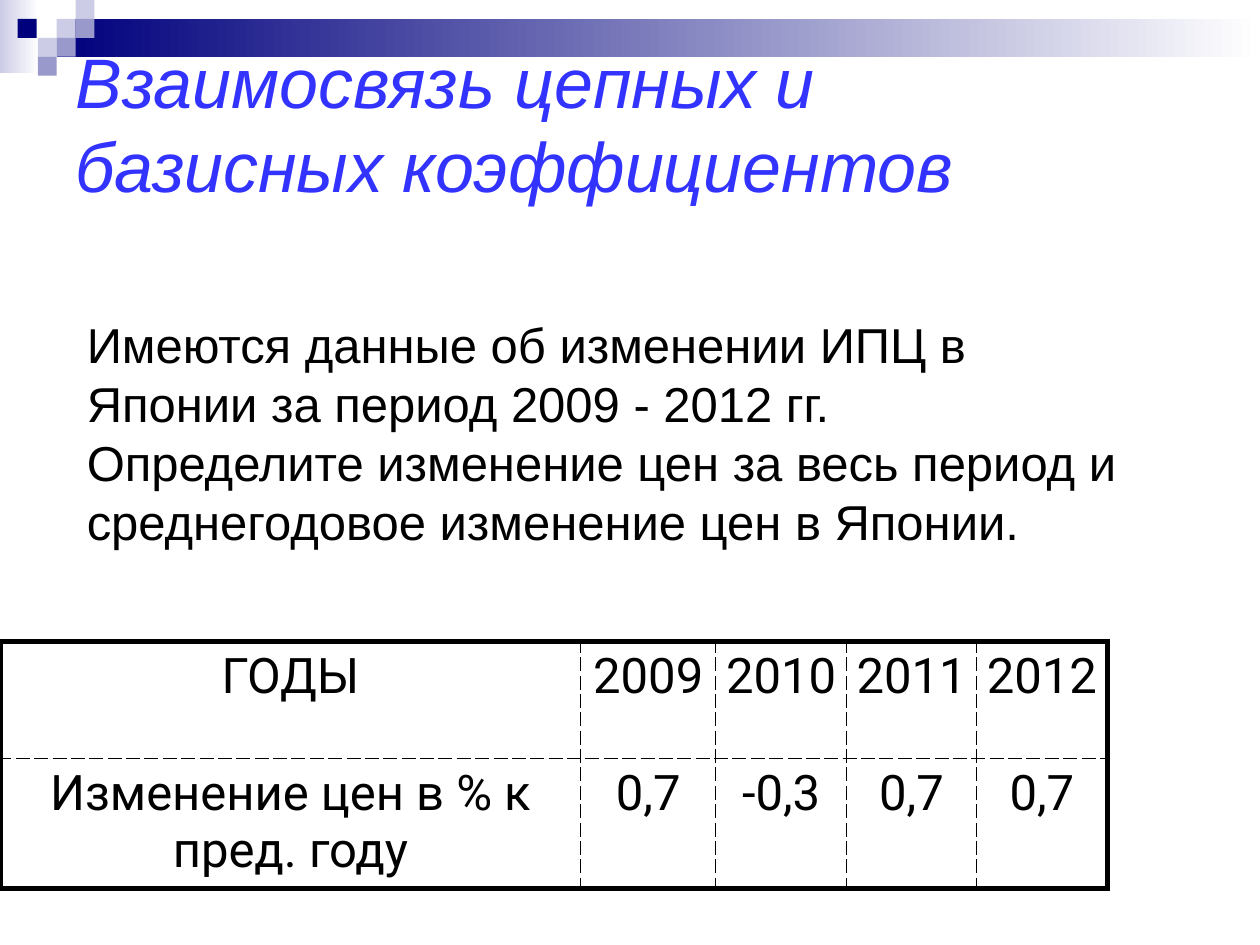
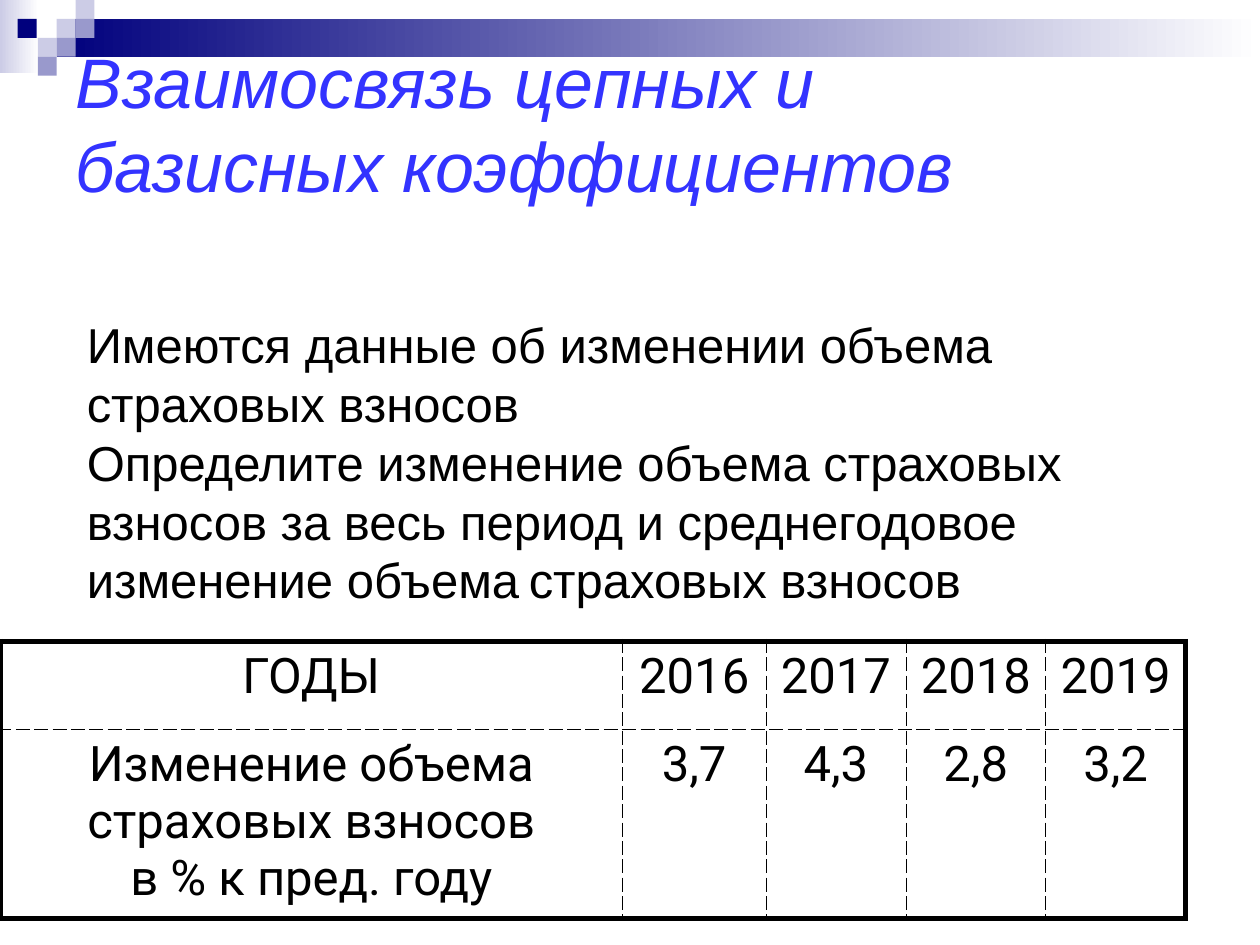
from dataclasses import dataclass

from lxml.etree import SubElement
from pptx import Presentation
from pptx.dml.color import RGBColor
from pptx.enum.shapes import MSO_SHAPE as Shape
from pptx.enum.text import MSO_ANCHOR as Anchor, PP_ALIGN as Align
from pptx.oxml.ns import qn
from pptx.util import Inches, Pt


@dataclass(frozen=True)
class Theme:
    """Colours, fonts, type sizes and line widths shared by the slides."""

    navy: str = "00007D"
    violet: str = "9999CC"
    lilac: str = "CCCCE6"
    white: str = "FFFFFF"
    title_blue: str = "3333FF"
    black: str = "000000"
    text_font: str = "Arial"
    table_font: str = "Roboto"
    title_size: int = 40
    body_size: int = 28
    gap_size: int = 20
    line_factor: float = 1.2
    frame_width: float = 3.34
    grid_width: float = 0.45


THEME = Theme()
TITLE = "Взаимосвязь цепных и базисных коэффициентов"
TITLE_BOX = (0.5, 0.35, 7.92, 1.25)
TASK_BOX = (0.59, 2.45, 8.58, 2.44)
TABLE_ORIGIN = (0, 5.09)
TILE = 0.15
TILES = (
    (0.45, 0.15, THEME.lilac), (0.6, 0, THEME.lilac), (0.6, 0.15, THEME.violet),
    (0.3, 0.3, THEME.lilac), (0.14, 0.15, THEME.navy), (0.45, 0.3, THEME.violet),
    (0.3, 0.45, THEME.violet),
)

SLIDES = (
    {
        "task": (
            ("Имеются данные об изменении ИПЦ в Японии за период 2009 - 2012 гг.",),
            ("Определите изменение цен за весь период и среднегодовое изменение цен в Японии.",),
        ),
        "rows": (
            ("ГОДЫ", "2009", "2010", "2011", "2012"),
            ("Изменение цен в % к пред. году", "0,7", "-0,3", "0,7", "0,7"),
        ),
        "widths": (4.61, 1.07, 1.04, 1.03, 1.04),
        "heights": (0.93, 0.93),
    },
    {
        "task": (
            ("Имеются данные об изменении объема страховых взносов",),
            ("Определите изменение объема страховых взносов за весь период "
             "и среднегодовое изменение объема", " ", "страховых взносов"),
        ),
        "rows": (
            ("ГОДЫ", "2016", "2017", "2018", "2019"),
            ("Изменение объема страховых взносов\nв % к пред. году", "3,7", "4,3", "2,8", "3,2"),
        ),
        "widths": (4.94, 1.14, 1.11, 1.11, 1.11),
        "heights": (0.7, 1.4),
    },
)


def apply_format(target, values):
    """Set each named attribute of the target."""
    for name, value in values.items():
        setattr(target, name, value)


def style_font(font, name, size, color, italic=False):
    """Give a font its face, size and colour."""
    apply_format(font, {"name": name, "size": Pt(size), "italic": italic, "bold": False})
    font.color.rgb = RGBColor.from_string(color)


def add_block(slide, box, *colors):
    """Draw a borderless rectangle, solid for one colour and fading for two."""
    shape = slide.shapes.add_shape(Shape.RECTANGLE, *map(Inches, box))
    shape.shadow.inherit = False
    shape.line.fill.background()
    if len(colors) == 1:
        shape.fill.solid()
        shape.fill.fore_color.rgb = RGBColor.from_string(colors[0])
        return
    shape.fill.gradient()
    shape.fill.gradient_angle = 0
    for stop, color in zip(shape.fill.gradient_stops, colors):
        stop.color.rgb = RGBColor.from_string(color)


def add_band(slide):
    """Draw the fading band and its mosaic of tiles."""
    add_block(slide, (0, 0, 0.31, 0.58), THEME.lilac, THEME.white)
    add_block(slide, (0.45, 0.15, 9.55, 0.3), THEME.navy, THEME.white)
    for left, top, color in TILES:
        add_block(slide, (left, top, TILE, TILE), color)


def add_text(slide, box, paragraphs, anchor, size, color, italic=False):
    """Write paragraphs, each a tuple of runs, in a wrapping box."""
    frame = slide.shapes.add_textbox(*map(Inches, box)).text_frame
    apply_format(frame, {"word_wrap": True, "vertical_anchor": anchor})
    for index, runs in enumerate(paragraphs):
        paragraph = frame.add_paragraph() if index else frame.paragraphs[0]
        paragraph.line_spacing = Pt(size * THEME.line_factor)
        for text in runs:
            run = paragraph.add_run()
            run.text = text
            run_size = THEME.gap_size if text == " " else size
            style_font(run.font, THEME.text_font, run_size, color, italic)


def add_border(cell, side, framed):
    """Draw one cell edge, thick on the frame and dashed inside."""
    width = THEME.frame_width if framed else THEME.grid_width
    properties = cell._tc.get_or_add_tcPr()
    line = SubElement(properties, qn(f"a:ln{side}"), w=str(int(Pt(width))))
    fill = SubElement(line, qn("a:solidFill"))
    SubElement(fill, qn("a:srgbClr"), val=THEME.black)
    SubElement(line, qn("a:prstDash"), val="solid" if framed else "dash")


def fill_cell(cell, text):
    """Write centred text in an unfilled cell."""
    apply_format(cell, {
        "text": text,
        "margin_left": Inches(0.07),
        "margin_right": Inches(0.07),
        "margin_top": Inches(0.05),
        "margin_bottom": Inches(0.05),
    })
    cell.fill.background()
    for paragraph in cell.text_frame.paragraphs:
        paragraph.alignment = Align.CENTER
        for run in paragraph.runs:
            style_font(run.font, THEME.table_font, THEME.body_size, THEME.black)


def add_years_table(slide, origin, rows, widths, heights):
    """Build the table of yearly changes at the given corner."""
    box = (*origin, sum(widths), sum(heights))
    table = slide.shapes.add_table(len(rows), len(widths), *map(Inches, box)).table
    apply_format(table, {"first_row": False, "horz_banding": False})
    for column, width in zip(table.columns, widths):
        column.width = Inches(width)
    last_row, last_column = len(rows) - 1, len(widths) - 1
    for row_index, (texts, height) in enumerate(zip(rows, heights)):
        table.rows[row_index].height = Inches(height)
        for column_index, text in enumerate(texts):
            cell = table.cell(row_index, column_index)
            edges = {
                "L": column_index == 0,
                "R": column_index == last_column,
                "T": row_index == 0,
                "B": row_index == last_row,
            }
            for side, framed in edges.items():
                add_border(cell, side, framed)
            fill_cell(cell, text)


def add_task_slide(presentation, task, rows, widths, heights):
    """Add a slide with the band, title, table and task."""
    slide = presentation.slides.add_slide(presentation.slide_layouts[6])
    add_band(slide)
    add_text(slide, TITLE_BOX, ((TITLE,),), Anchor.MIDDLE,
             THEME.title_size, THEME.title_blue, italic=True)
    add_years_table(slide, TABLE_ORIGIN, rows, widths, heights)
    add_text(slide, TASK_BOX, task, Anchor.TOP, THEME.body_size, THEME.black)


def main():
    """Build and save the presentation."""
    presentation = Presentation()
    apply_format(presentation, {"slide_width": Inches(10), "slide_height": Inches(7.5)})
    for content in SLIDES:
        add_task_slide(presentation, **content)
    presentation.save("out.pptx")


if __name__ == "__main__":
    main()
